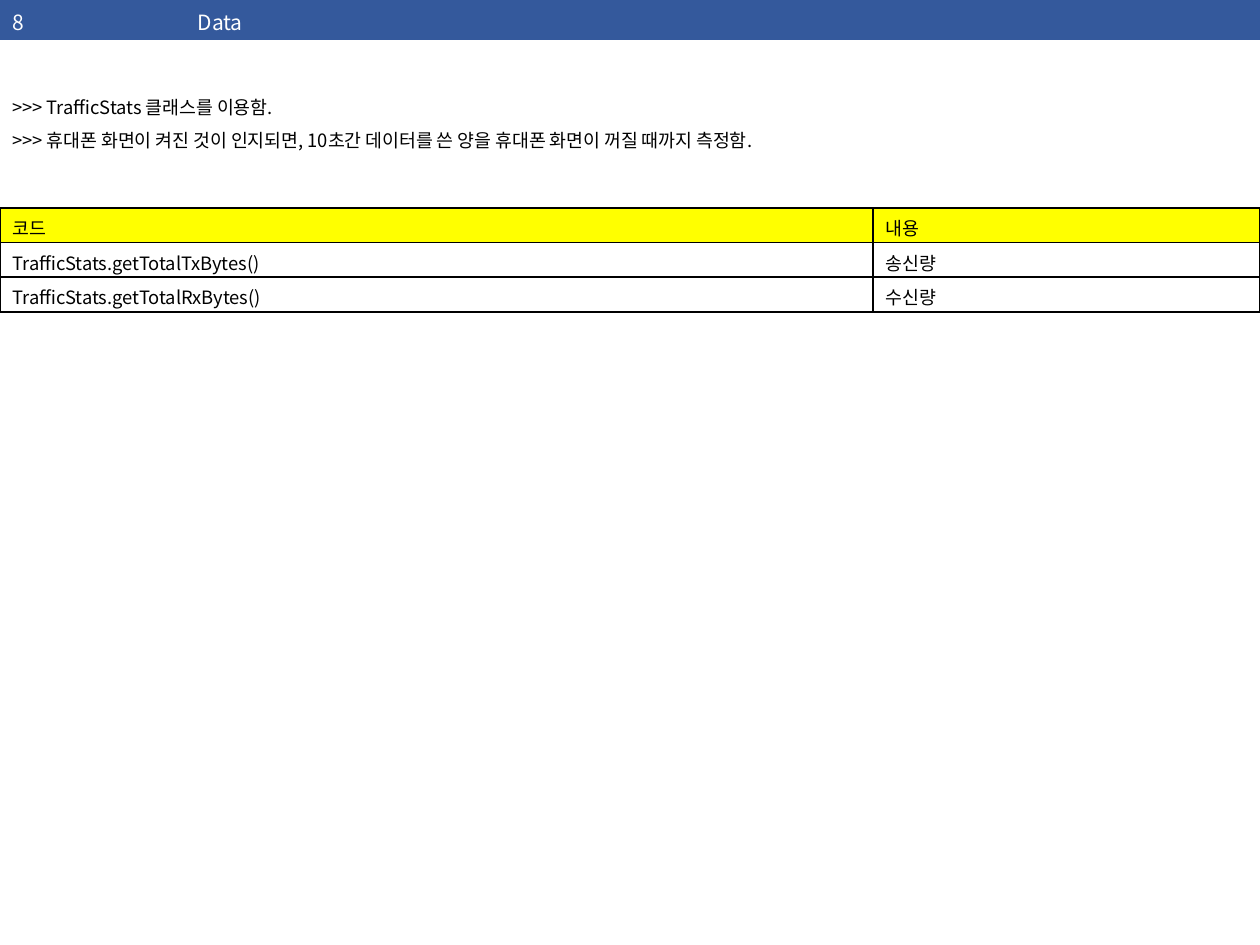
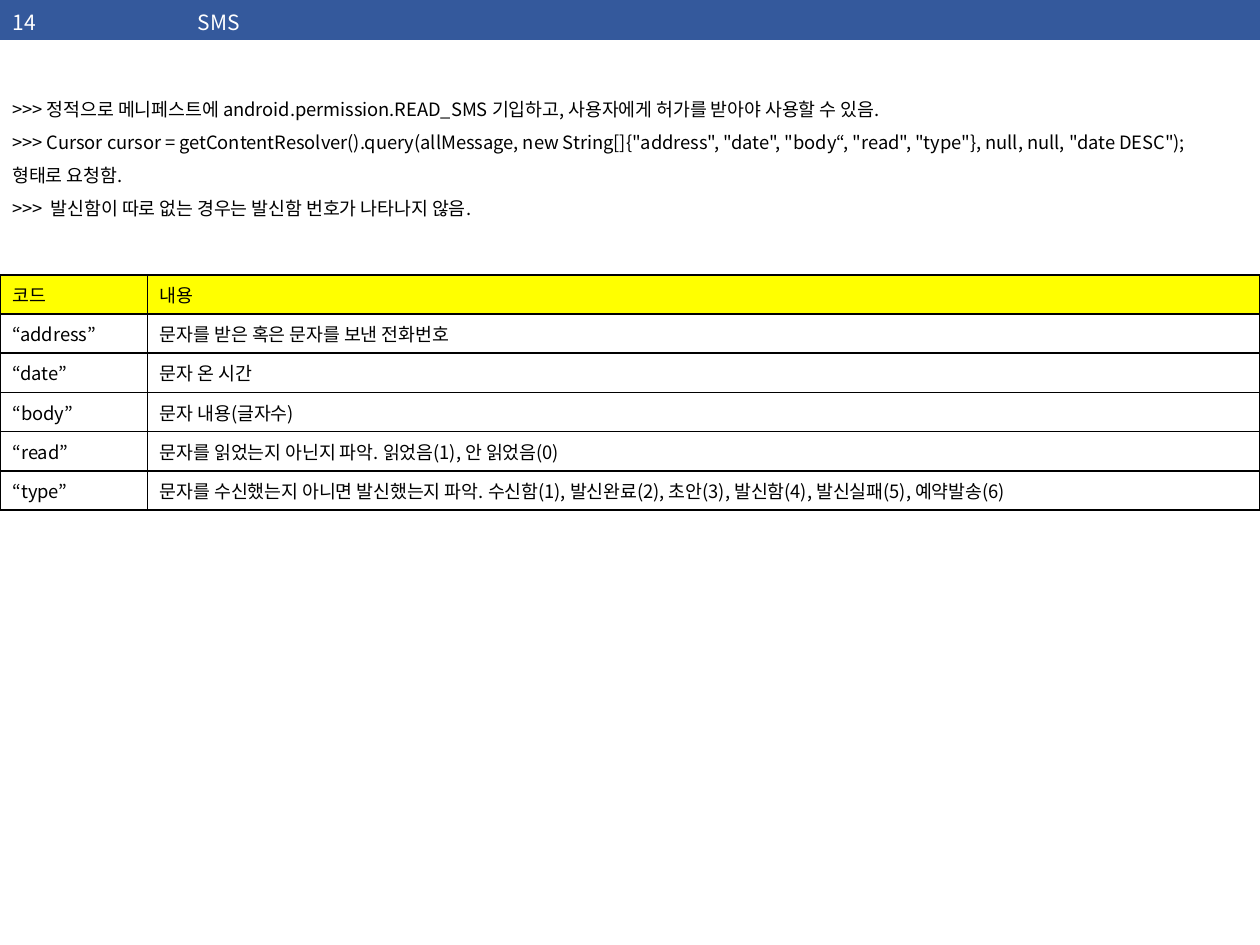
"""Build two reference slides on reading data traffic and text messages."""
import dataclasses

import pptx
import pptx.dml.color
import pptx.enum.text
import pptx.oxml
import pptx.oxml.ns
import pptx.util

Cm = pptx.util.Cm
Pt = pptx.util.Pt
MIDDLE = pptx.enum.text.MSO_ANCHOR.MIDDLE
TOP = pptx.enum.text.MSO_ANCHOR.TOP


@dataclasses.dataclass(frozen=True)
class Theme:
    font: str = "Noto Sans CJK KR"
    band: str = "34599C"
    header: str = "FFFF00"
    ink: str = "000000"
    paper: str = "FFFFFF"
    title_size: float = 12
    body_size: float = 10.5
    first_line: float = 12.6
    next_line: float = 18.9


THEME = Theme()
WIDTH, HEIGHT = 25.4, 19.05
TITLE_COLUMN, TITLE_HEIGHT = 3.73, 0.84

SLIDES = [
    {
        "title": ("8", "Data"),
        "notes_top": 1.82,
        "notes_height": 1.37,
        "notes": [
            ">>> TrafficStats 클래스를 이용함.",
            ">>> 휴대폰 화면이 켜진 것이 인지되면, 10초간 데이터를 쓴 양을 휴대폰 화면이 꺼질 때까지 측정함.",
        ],
        "table_top": 4.19,
        "code_column": 17.6,
        "row_height": 0.7,
        "bottom_margin": 0.04,
        "body_anchor": TOP,
        "rows": [
            ("코드", "내용"),
            ("TrafficStats.getTotalTxBytes()", "송신량"),
            ("TrafficStats.getTotalRxBytes()", "수신량"),
        ],
    },
    {
        "title": ("14", "SMS"),
        "notes_top": 1.85,
        "notes_height": 2.72,
        "notes": [
            ">>> 정적으로 메니페스트에 android.permission.READ_SMS 기입하고, 사용자에게 허가를 받아야 사용할 수 있음.",
            '>>> Cursor cursor = getContentResolver().query(allMessage, new String[]{"address", "date", '
            '"body“, "read", "type"}, null, null, "date DESC");',
            "형태로 요청함.",
            ">>>  발신함이 따로 없는 경우는 발신함 번호가 나타나지 않음.",
        ],
        "table_top": 5.54,
        "code_column": 2.97,
        "row_height": 0.79,
        "bottom_margin": 0.12,
        "body_anchor": MIDDLE,
        "rows": [
            ("코드", "내용"),
            ("“address”", "문자를 받은 혹은 문자를 보낸 전화번호"),
            ("“date”", "문자 온 시간"),
            ("“body”", "문자 내용(글자수)"),
            ("“read”", "문자를 읽었는지 아닌지 파악. 읽었음(1), 안 읽었음(0)"),
            (
                "“type”",
                "문자를 수신했는지 아니면 발신했는지 파악. 수신함(1), 발신완료(2), "
                "초안(3), 발신함(4), 발신실패(5), 예약발송(6)",
            ),
        ],
    },
]


def format_paragraph(paragraph, size, color):
    for run in paragraph.runs:
        run.font.name = THEME.font
        run.font.size = Pt(size)
        run.font.color.rgb = pptx.dml.color.RGBColor.from_string(color)
        east_asian = pptx.oxml.parse_xml(
            f'<a:ea {pptx.oxml.ns.nsdecls("a")} typeface="{THEME.font}"/>'
        )
        run.font._element.append(east_asian)


def set_borders(cell, borders):
    properties = cell._tc.get_or_add_tcPr()
    for side in "LRTB":
        color, width = borders.get(side, (None, 0))
        paint = f'<a:solidFill><a:srgbClr val="{color}"/></a:solidFill>' if color else "<a:noFill/>"
        properties.append(pptx.oxml.parse_xml(
            f'<a:ln{side} {pptx.oxml.ns.nsdecls("a")} w="{Pt(width)}">{paint}</a:ln{side}>'
        ))


def add_grid(slide, rows, top, first_column, row_height):
    frame = slide.shapes.add_table(
        len(rows), 2, 0, Cm(top), Cm(WIDTH), Cm(row_height * len(rows))
    )
    table = frame.table
    table.first_row = table.horz_banding = False
    table.columns[0].width = Cm(first_column)
    table.columns[1].width = Cm(WIDTH - first_column)
    for row in table.rows:
        row.height = Cm(row_height)
    return table


def fill_cell(cell, text, size, color, fill, borders, anchor, bottom_margin):
    cell.text_frame.text = text
    format_paragraph(cell.text_frame.paragraphs[0], size, color)
    cell.vertical_anchor = anchor
    cell.margin_bottom = Cm(bottom_margin)
    set_borders(cell, borders)
    if fill:
        cell.fill.solid()
        cell.fill.fore_color.rgb = pptx.dml.color.RGBColor.from_string(fill)
    else:
        cell.fill.background()


def add_title(slide, title):
    table = add_grid(slide, [title], 0, TITLE_COLUMN, TITLE_HEIGHT)
    for cell, text in zip(table.iter_cells(), title):
        fill_cell(cell, text, THEME.title_size, THEME.paper, THEME.band,
                  {"B": (THEME.paper, 2)}, MIDDLE, 0.1)


def add_notes(slide, content):
    box = slide.shapes.add_textbox(
        0, Cm(content["notes_top"]), Cm(WIDTH), Cm(content["notes_height"])
    )
    box.text_frame.word_wrap = True
    box.text_frame.text = "\n".join(content["notes"])
    for index, paragraph in enumerate(box.text_frame.paragraphs):
        paragraph.line_spacing = Pt(THEME.next_line if index else THEME.first_line)
        format_paragraph(paragraph, THEME.body_size, THEME.ink)


def add_code_table(slide, content):
    rows = content["rows"]
    table = add_grid(slide, rows, content["table_top"], content["code_column"], content["row_height"])
    borders = dict.fromkeys("LRTB", (THEME.ink, 1))
    for row_index, row in enumerate(rows):
        fill = None if row_index else THEME.header
        anchor = content["body_anchor"] if row_index else MIDDLE
        for column_index, text in enumerate(row):
            fill_cell(table.cell(row_index, column_index), text, THEME.body_size, THEME.ink,
                      fill, borders, anchor, content["bottom_margin"])


presentation = pptx.Presentation()
presentation.slide_width = Cm(WIDTH)
presentation.slide_height = Cm(HEIGHT)
for content in SLIDES:
    slide = presentation.slides.add_slide(presentation.slide_layouts[6])
    add_title(slide, content["title"])
    add_notes(slide, content)
    add_code_table(slide, content)
presentation.save("out.pptx")
